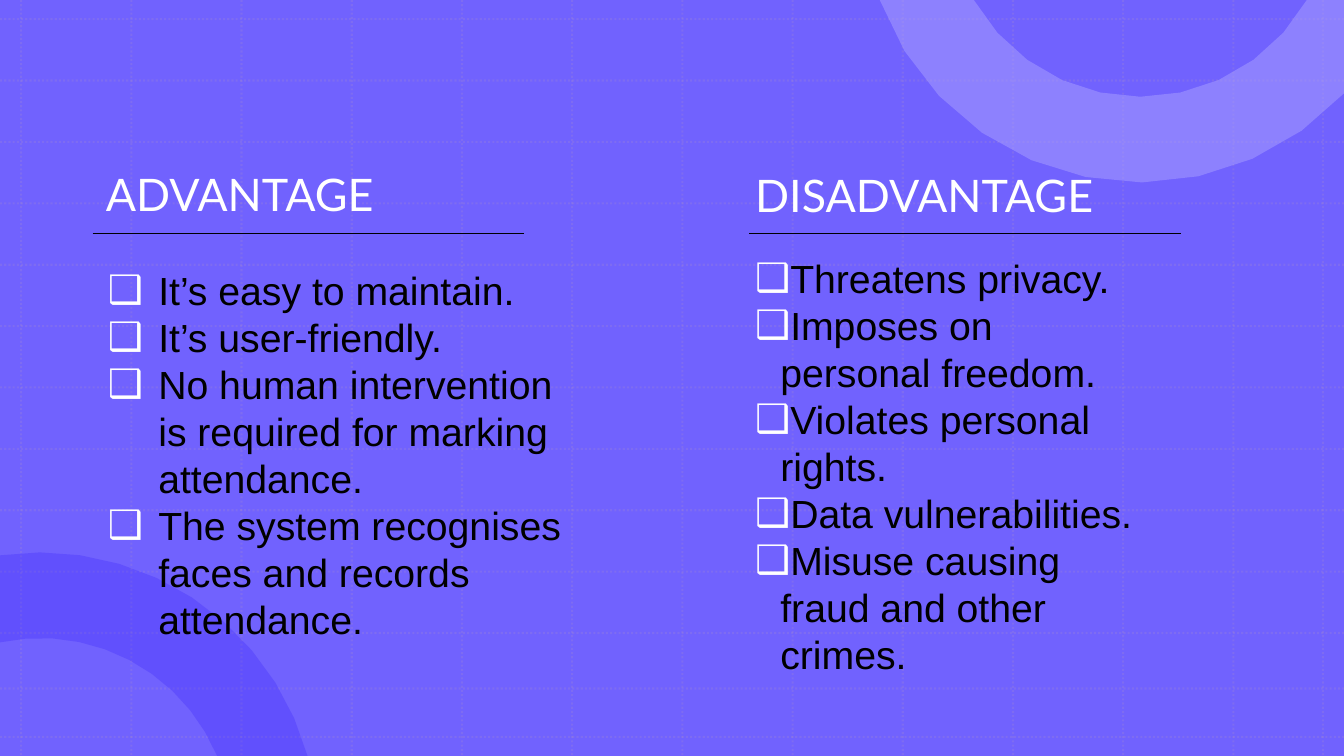
from math import acos, asin, cos, pi, sin

from lxml import etree
from pptx import Presentation
from pptx.dml.color import RGBColor
from pptx.enum.dml import MSO_LINE_DASH_STYLE as DASH
from pptx.enum.shapes import MSO_CONNECTOR as CONNECTOR, MSO_SHAPE as SHAPE
from pptx.enum.text import MSO_ANCHOR as ANCHOR, MSO_AUTO_SIZE as AUTO_SIZE, PP_ALIGN as ALIGN
from pptx.oxml.ns import qn
from pptx.util import Inches, Pt

WIDTH, HEIGHT = 13.33, 7.5
OUTER, INNER = 2.75, 1.9  # ring radii

ADVANTAGES = [
    "It’s easy to maintain.",
    "It’s user-friendly.",
    "No human intervention is required for marking attendance.",
    "The system recognises faces and records attendance.",
]
DISADVANTAGES = [
    "Threatens privacy.",
    "Imposes on personal freedom.",
    "Violates personal rights.",
    "Data vulnerabilities.",
    "Misuse causing fraud and other crimes.",
]


def set_color(color_format, color):
    color_format.rgb = RGBColor.from_string(color)


def set_opacity(element, percent):
    """Make the first solid colour inside the element translucent."""
    color = next(element.iter(qn("a:srgbClr")))
    etree.SubElement(color, qn("a:alpha")).set("val", str(percent * 1000))


def fill_shape(shape, color):
    shape.shadow.inherit = False
    shape.fill.solid()
    set_color(shape.fill.fore_color, color)
    shape.line.fill.background()


def add_line(slide, start, end, color, width):
    line = slide.shapes.add_connector(
        CONNECTOR.STRAIGHT, *(Inches(value) for value in (*start, *end)))
    set_color(line.line.color, color)
    line.line.width = Pt(width)
    etree.SubElement(line.element.spPr, qn("a:effectLst"))
    return line


def add_grid(slide):
    columns = [0.21 + 1.093 * index for index in range(12)] + [13.12]
    rows = [0.19 + 0.609 * index for index in range(11)] + [6.83, 7.31]
    ends = [((x, 0), (x, HEIGHT)) for x in columns]
    ends += [((0, y), (WIDTH, y)) for y in rows]
    for start, end in ends:
        line = add_line(slide, start, end, "B495C2", 1.5)
        line.line.dash_style = DASH.ROUND_DOT
        set_opacity(line.element.spPr, 20)


def arc(center, radius, start, end, steps=10):
    angles = [start + (end - start) * step / steps for step in range(steps + 1)]
    return [(center[0] + radius * cos(angle), center[1] + radius * sin(angle))
            for angle in angles]


def add_band(slide, points, color, opacity):
    points = [(Inches(x), Inches(y)) for x, y in points]
    builder = slide.shapes.build_freeform(*points[0])
    builder.add_line_segments(points[1:], close=True)
    band = builder.convert_to_shape()
    fill_shape(band, color)
    set_opacity(band.element.spPr, opacity)


def add_rings(slide):
    # Lower left ring, cut by the left and bottom edges
    x, y = center = (0.4, 8.23)
    depth = y - HEIGHT
    points = arc(center, OUTER, -acos(-x / OUTER), -asin(depth / OUTER))
    points += arc(center, INNER, -asin(depth / INNER), -acos(-x / INNER))
    add_band(slide, points, "220BFD", 20)

    # Upper right ring, cut by the top and right edges
    x, y = center = (11.31, -0.94)
    inner_start = asin(-y / INNER)
    points = arc(center, OUTER, pi - asin(-y / OUTER), acos((WIDTH - x) / OUTER))
    points += [(WIDTH, 0)]
    points += arc(center, INNER, inner_start, pi - inner_start)
    add_band(slide, points, "AAA1FE", 50)


def place(slide, shape, box, anchor):
    """Position a placeholder in front of the backdrop and return its text frame."""
    slide.shapes.element.append(shape.element)
    shape.left, shape.top, shape.width, shape.height = (Inches(value) for value in box)
    frame = shape.text_frame
    frame.word_wrap = True
    frame.auto_size = AUTO_SIZE.NONE
    frame.vertical_anchor = anchor
    frame.margin_left = frame.margin_right = Inches(0.13)
    frame.margin_top = frame.margin_bottom = Inches(0.13)
    return frame


def add_run(paragraph, text, size, font, color, spacing):
    paragraph.alignment = ALIGN.LEFT
    paragraph.line_spacing = spacing
    paragraph.space_before = paragraph.space_after = Pt(0)
    run = paragraph.add_run()
    run.text = text
    run.font.size = Pt(size)
    run.font.name = font
    run.font.bold = False
    set_color(run.font.color, color)


def fill_heading(slide, shape, box, text):
    frame = place(slide, shape, box, ANCHOR.BOTTOM)
    add_run(frame.paragraphs[0], text, 32, "Lato", "FFFFFF", 0.9)


def add_bullet(paragraph, indent):
    properties = paragraph._p.get_or_add_pPr()
    properties.set("marL", str(Inches(indent)))
    properties.set("indent", str(-Inches(indent)))
    color = etree.SubElement(properties, qn("a:buClr"))
    etree.SubElement(color, qn("a:srgbClr")).set("val", "FFFFFF")
    etree.SubElement(properties, qn("a:buFont")).set("typeface", "Arial")
    etree.SubElement(properties, qn("a:buChar")).set("char", "❑")


def fill_list(slide, shape, box, items, indent):
    frame = place(slide, shape, box, ANCHOR.TOP)
    for index, item in enumerate(items):
        paragraph = frame.add_paragraph() if index else frame.paragraphs[0]
        add_run(paragraph, item, 28, "Arial", "000000", 1.0)
        add_bullet(paragraph, indent)


def main():
    presentation = Presentation()
    presentation.slide_width, presentation.slide_height = Inches(WIDTH), Inches(HEIGHT)
    slide = presentation.slides.add_slide(presentation.slide_layouts.get_by_name("Comparison"))
    title, right_heading, left_list, spare, right_list = slide.placeholders
    spare.element.getparent().remove(spare.element)

    # Backdrop
    backdrop = slide.shapes.add_shape(SHAPE.RECTANGLE, 0, 0, Inches(WIDTH), Inches(HEIGHT))
    fill_shape(backdrop, "7162FE")
    add_grid(slide)
    add_rings(slide)

    # Headings and lists
    fill_heading(slide, title, (0.92, 0.86, 4.11, 1.46), "ADVANTAGE")
    fill_heading(slide, right_heading, (7.36, 0.87, 4.11, 1.46), "DISADVANTAGE")
    fill_list(slide, right_list, (7.36, 2.39, 4.11, 4.27), DISADVANTAGES, 0.25)
    fill_list(slide, left_list, (0.94, 2.51, 4.88, 4.02), ADVANTAGES, 0.5)

    # Rules under the headings
    for left in (0.92, 7.43):
        add_line(slide, (left, 2.32), (left + 4.28, 2.32), "000000", 0.75)

    presentation.save("out.pptx")


if __name__ == "__main__":
    main()
